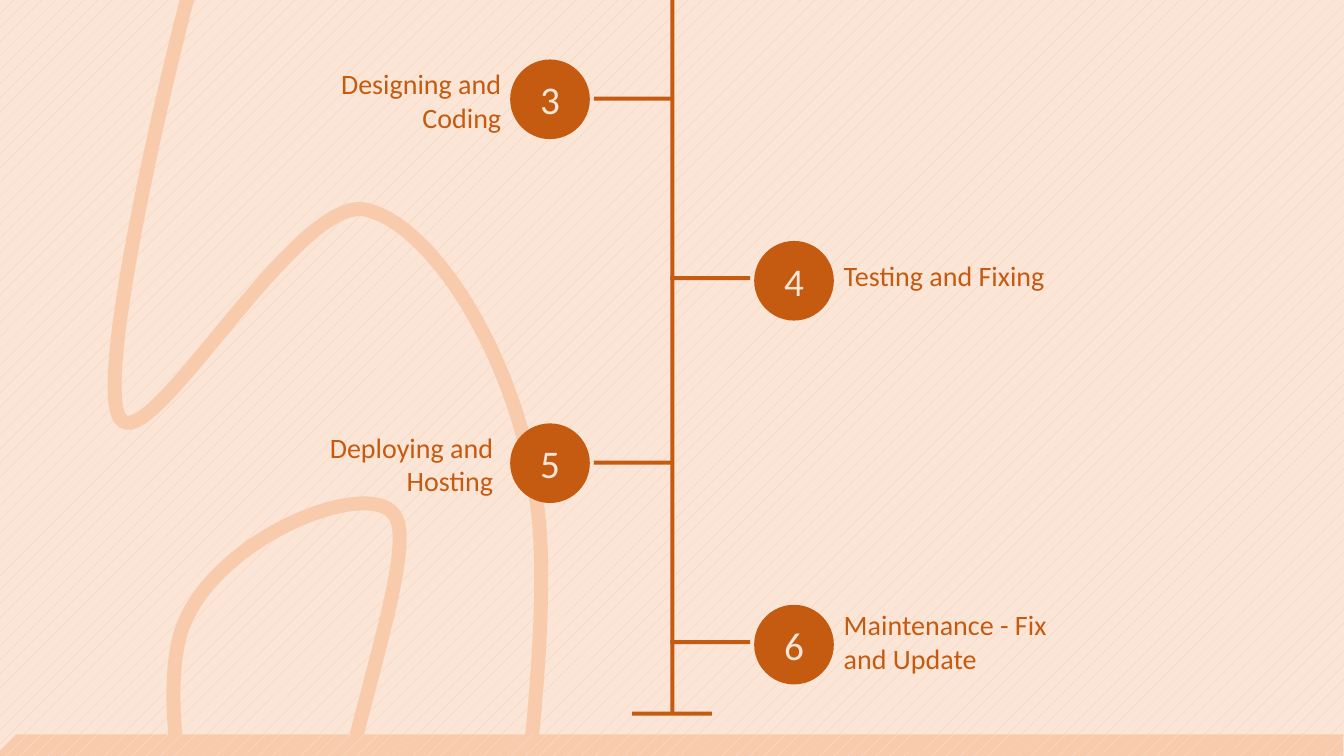
from lxml import etree
from pptx import Presentation
from pptx.dml.color import RGBColor
from pptx.enum.dml import MSO_PATTERN
from pptx.enum.shapes import MSO_SHAPE as Shape
from pptx.enum.text import MSO_ANCHOR as Anchor, MSO_AUTO_SIZE as AutoSize, PP_ALIGN as Align
from pptx.oxml.ns import qn
from pptx.util import Inches, Pt

RUST, PEACH, CREAM = "C55A11", "F8CBAD", "FBE5D6"
NUMBER_FONT = {"name": "Calibri", "size": Pt(28)}
LABEL_FONT = {"name": "Calibri", "size": Pt(20)}

DIAMETER, THICKNESS = 0.79, 0.04
SPINE_LEFT = 6.65
SIDES = {
    "left": {"circle": 5.06, "bar": 5.89, "bar_drop": 0.37, "align": Align.RIGHT},
    "right": {"circle": 7.48, "bar": SPINE_LEFT, "bar_drop": 0.35, "align": Align.LEFT},
}
STEPS = [
    (0.59, "3", "Designing and Coding", "left", (2.83, 0.61, 2.24, 0.77)),
    (2.39, "4", "Testing and Fixing", "right", (8.27, 2.52, 2.24, 0.44)),
    (4.2, "5", "Deploying and Hosting", "left", (2.75, 4.22, 2.24, 0.77)),
    (6, "6", "Maintenance - Fix and Update", "right", (8.27, 5.98, 2.24, 0.77)),
]

SWIRL_TOP_LEFT, SWIRL_BOTTOM_RIGHT = (1.14, -0.42), (5.37, 11.07)
SWIRL_START = (2.62, 11.04)
SWIRL_CURVES = [
    ((2.09, 9.19), (1.55, 7.35), (1.77, 6.36)),
    ((1.99, 5.38), (3.67, 4.7), (3.92, 5.12)),
    ((4.18, 5.54), (3.19, 7.91), (3.3, 8.88)),
    ((3.42, 9.85), (4.25, 11.56), (4.59, 10.94)),
    ((4.93, 10.31), (5.5, 6.59), (5.34, 5.12)),
    ((5.18, 3.64), (4.32, 2.24), (3.63, 2.08)),
    ((2.94, 1.92), (1.47, 4.57), (1.19, 4.15)),
    ((0.91, 3.74), (1.81, 0.07), (1.97, -0.42)),
]


def color(hex_code):
    return RGBColor.from_string(hex_code)


def apply_format(target, values):
    for name, value in values.items():
        setattr(target, name, value)


def fill_pattern(fill, fore, back):
    fill.patterned()
    fill.pattern = MSO_PATTERN.PERCENT_5
    fill.fore_color.rgb = color(fore)
    fill.back_color.rgb = color(back)


def add_plain_shape(shapes, kind, box, fill=RUST):
    shape = shapes.add_shape(kind, *map(Inches, box))
    shape.shadow.inherit = False
    shape.fill.solid()
    shape.fill.fore_color.rgb = color(fill)
    shape.line.fill.background()
    return shape


def write_text(frame, text, align, font, hex_code):
    paragraph = frame.paragraphs[0]
    paragraph.alignment = align
    run = paragraph.add_run()
    run.text = text
    apply_format(run.font, font)
    run.font.color.rgb = color(hex_code)


def add_step(slide, top, number, label, side, label_box):
    layout = SIDES[side]
    step = slide.shapes.add_group_shape().shapes
    circle = add_plain_shape(step, Shape.OVAL, (layout["circle"], top, DIAMETER, DIAMETER))
    circle.text_frame.vertical_anchor = Anchor.MIDDLE
    write_text(circle.text_frame, number, Align.CENTER, NUMBER_FONT, CREAM)

    caption = step.add_textbox(*map(Inches, label_box)).text_frame
    apply_format(caption, {"word_wrap": True, "auto_size": AutoSize.SHAPE_TO_FIT_TEXT})
    write_text(caption, label, layout["align"], LABEL_FONT, RUST)

    bar_top = top + layout["bar_drop"]
    add_plain_shape(step, Shape.RECTANGLE, (layout["bar"], bar_top, DIAMETER, THICKNESS))


def draw_command(outline, tag, points):
    command = etree.SubElement(outline, qn(tag))
    for point in points:
        x, y = (Inches(edge - value) for edge, value in zip(SWIRL_BOTTOM_RIGHT, point))
        etree.SubElement(command, qn("a:pt"), x=str(x), y=str(y))


def add_swirl(slide):
    builder = slide.shapes.build_freeform(*map(Inches, SWIRL_TOP_LEFT))
    builder.add_line_segments([tuple(map(Inches, SWIRL_BOTTOM_RIGHT))], close=False)
    swirl = builder.convert_to_shape()
    outline = swirl.element.xpath(".//a:path")[0]
    for segment in list(outline):
        outline.remove(segment)
    draw_command(outline, "a:moveTo", [SWIRL_START])
    for curve in SWIRL_CURVES:
        draw_command(outline, "a:cubicBezTo", curve)
    swirl.rotation = 180
    swirl.shadow.inherit = False
    swirl.fill.background()
    swirl.line.color.rgb = color(PEACH)
    swirl.line.width = Pt(10)


def add_ground(slide):
    ground = add_plain_shape(slide.shapes, Shape.SNIP_2_DIAG_RECTANGLE, (6.16, 1.12, 1, 13.33))
    ground.rotation = 270
    fill_pattern(ground.fill, CREAM, PEACH)


def main():
    deck = Presentation()
    apply_format(deck, {"slide_width": Inches(13.33), "slide_height": Inches(7.5)})
    slide = deck.slides.add_slide(deck.slide_layouts[6])
    fill_pattern(slide.background.fill, PEACH, CREAM)

    add_swirl(slide)
    add_plain_shape(slide.shapes, Shape.RECTANGLE, (SPINE_LEFT, 0, THICKNESS, 7.09))
    for step in STEPS:
        add_step(slide, *step)
    add_plain_shape(slide.shapes, Shape.RECTANGLE, (6.27, 7.06, DIAMETER, THICKNESS))
    add_ground(slide)
    deck.save("out.pptx")


if __name__ == "__main__":
    main()
